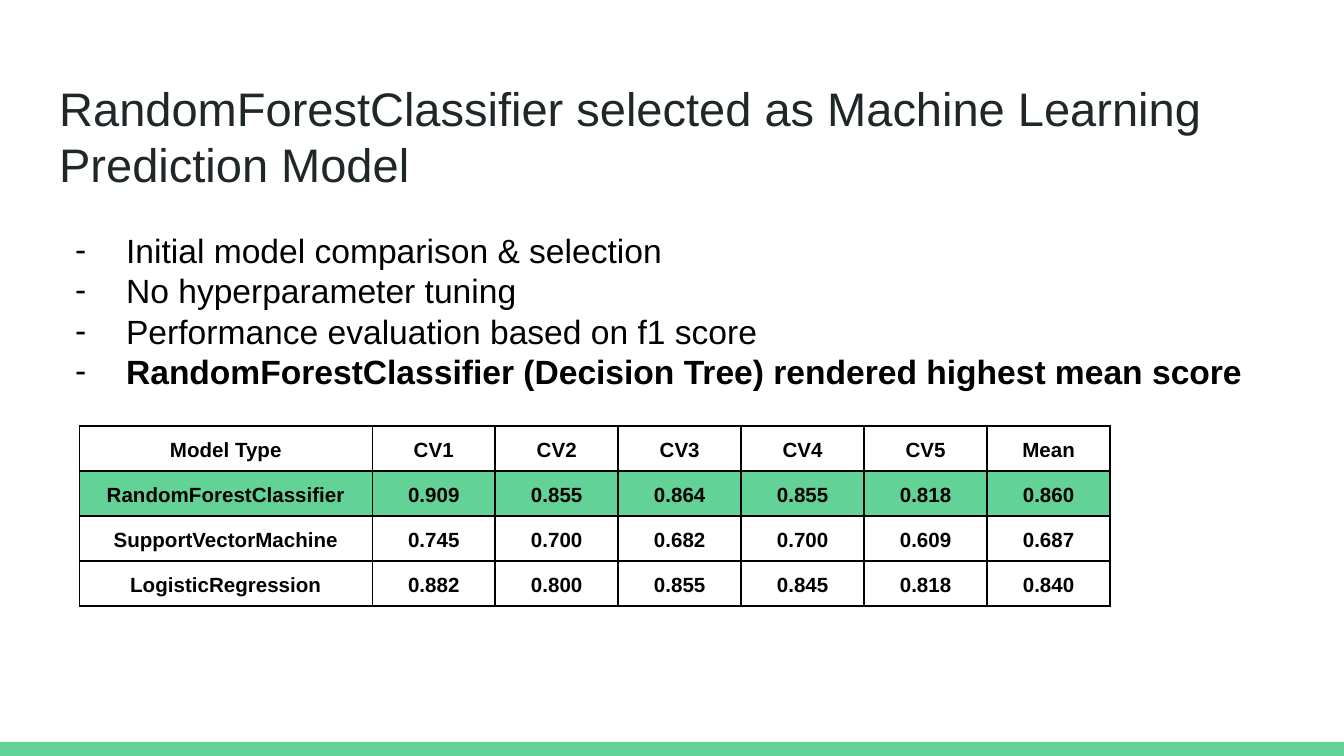
from dataclasses import dataclass

import pptx
from lxml import etree
from pptx import util as u
from pptx.dml import color
from pptx.enum import shapes, text
from pptx.oxml import ns

BLACK, WHITE, GREEN, DARK = "000000", "FFFFFF", "63D297", "202729"
FONT = "Arial"


@dataclass
class Box:
    left: float
    top: float
    width: float
    height: float

    def place(self) -> tuple:
        return tuple(map(u.Inches, (self.left, self.top, self.width, self.height)))


@dataclass
class Model:
    name: str
    scores: tuple
    fill: str = WHITE


@dataclass
class Point:
    words: str
    bold: bool = False


POINTS = [
    Point("Initial model comparison & selection"),
    Point("No hyperparameter tuning"),
    Point("Performance evaluation based on f1 score"),
    Point("RandomForestClassifier (Decision Tree) rendered highest mean score", True),
]
MODELS = [
    Model("Model Type", ("CV1", "CV2", "CV3", "CV4", "CV5", "Mean")),
    Model("RandomForestClassifier",
          ("0.909", "0.855", "0.864", "0.855", "0.818", "0.860"), GREEN),
    Model("SupportVectorMachine",
          ("0.745", "0.700", "0.682", "0.700", "0.609", "0.687")),
    Model("LogisticRegression",
          ("0.882", "0.800", "0.855", "0.845", "0.818", "0.840")),
]
SPAN, FIRST, ROW = 7.67, 2.18, 0.33
WIDTHS = [FIRST] + [(SPAN - FIRST) / 6] * 6


def paint(fill, shade: str) -> None:
    fill.solid()
    fill.fore_color.rgb = color.RGBColor.from_string(shade)


def style(para, size: float, shade: str, bold: bool = False) -> None:
    font = para.font
    font.name, font.size, font.bold = FONT, u.Pt(size), bold
    paint(font.fill, shade)


def inset(item, gap: float) -> None:
    item.margin_left = item.margin_right = u.Inches(gap)
    item.margin_top = item.margin_bottom = u.Inches(gap)


def setup(frame) -> None:
    inset(frame, 0.1)
    frame.word_wrap = True
    frame.auto_size = text.MSO_AUTO_SIZE.NONE
    frame.vertical_anchor = text.MSO_ANCHOR.TOP


def add_bar(slide, box: Box) -> None:
    bar = slide.shapes.add_shape(shapes.MSO_SHAPE.RECTANGLE, *box.place())
    bar.shadow.inherit = False
    paint(bar.fill, GREEN)
    bar.line.fill.background()


def add_title(slide, box: Box, words: str) -> None:
    title = slide.shapes.title
    title.left, title.top, title.width, title.height = box.place()
    setup(title.text_frame)
    para = title.text_frame.paragraphs[0]
    para.text = words
    para.alignment = text.PP_ALIGN.LEFT
    style(para, 25.2, DARK)


def add_dash(para) -> None:
    props = para._p.get_or_add_pPr()
    props.set("marL", str(u.Inches(0.5)))
    props.set("indent", str(u.Inches(-0.38)))
    tint = etree.Element(ns.qn("a:buClr"))
    etree.SubElement(tint, ns.qn("a:srgbClr"), val=BLACK)
    face = etree.Element(ns.qn("a:buFont"), typeface=FONT)
    mark = etree.Element(ns.qn("a:buChar"), char="-")
    spot = props.index(props.find(ns.qn("a:defRPr")))
    props[spot:spot] = [tint, face, mark]


def add_points(slide, box: Box, points: list[Point]) -> None:
    frame = slide.shapes.add_textbox(*box.place()).text_frame
    setup(frame)
    frame.text = "\n".join(point.words for point in points)
    for para, point in zip(frame.paragraphs, points):
        style(para, 18, BLACK, point.bold)
        add_dash(para)


def add_edges(cell) -> None:
    props = cell._tc.get_or_add_tcPr()
    for spot, side in enumerate(("lnL", "lnR", "lnT", "lnB")):
        line = etree.Element(ns.qn(f"a:{side}"), w=str(u.Pt(1)))
        fill = etree.SubElement(line, ns.qn("a:solidFill"))
        etree.SubElement(fill, ns.qn("a:srgbClr"), val=BLACK)
        props.insert(spot, line)


def fill_cell(cell, words: str, shade: str) -> None:
    inset(cell, 0.07)
    cell.vertical_anchor = text.MSO_ANCHOR.MIDDLE
    paint(cell.fill, shade)
    add_edges(cell)
    para = cell.text_frame.paragraphs[0]
    para.text = words
    para.alignment = text.PP_ALIGN.CENTER
    para.line_spacing = 1.15
    para.space_before = u.Pt(9)
    style(para, 11, BLACK, True)


def add_scores(slide, left: float, top: float, models: list[Model]) -> None:
    box = Box(left, top, SPAN, ROW * len(models))
    table = slide.shapes.add_table(len(models), len(WIDTHS), *box.place()).table
    for col, width in zip(table.columns, WIDTHS):
        col.width = u.Inches(width)
    for row, model in zip(table.rows, models):
        row.height = u.Inches(ROW)
        for cell, words in zip(row.cells, (model.name, *model.scores)):
            fill_cell(cell, words, model.fill)


def main() -> None:
    deck = pptx.Presentation()
    deck.slide_width = u.Inches(10)
    deck.slide_height = deck.slide_width * 9 // 16
    slide = deck.slides.add_slide(deck.slide_layouts.get_by_name("Title Only"))
    paint(slide.background.fill, WHITE)
    add_bar(slide, Box(0, 5.52, 10, 0.11))
    add_points(slide, Box(0.34, 1.61, 9.13, 1.41), POINTS)
    add_title(slide, Box(0.34, 0.49, 9.32, 0.63),
              "RandomForestClassifier selected as Machine Learning Prediction Model")
    add_scores(slide, 0.59, 3.17, MODELS)
    deck.save("out.pptx")


if __name__ == "__main__":
    main()
